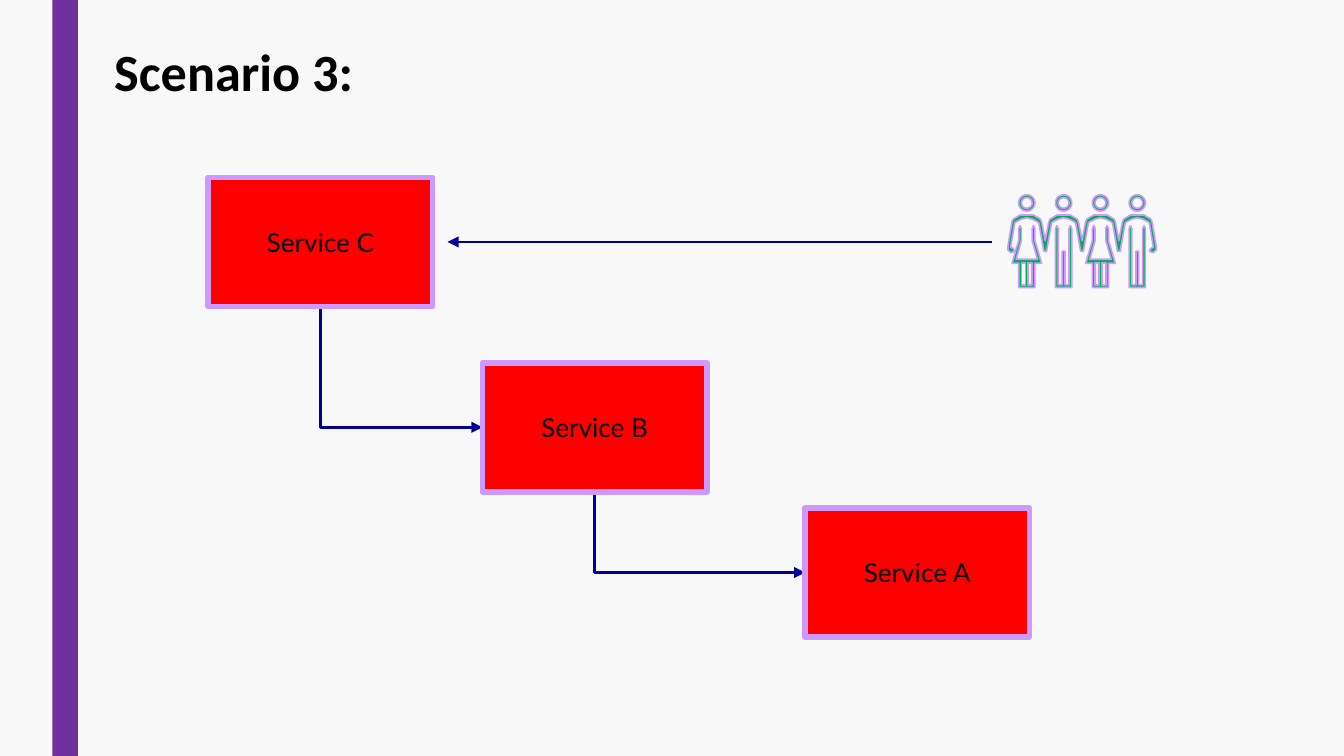
import math
from dataclasses import dataclass

import pptx
import pptx.dml.color
import pptx.enum.shapes
import pptx.enum.text
import pptx.oxml.ns
import pptx.util
from lxml import etree

Inches = pptx.util.Inches
Pt = pptx.util.Pt
RGBColor = pptx.dml.color.RGBColor
qn = pptx.oxml.ns.qn
CONNECTOR = pptx.enum.shapes.MSO_CONNECTOR
RECTANGLE = pptx.enum.shapes.MSO_SHAPE.RECTANGLE
ANCHOR = pptx.enum.text.MSO_ANCHOR
ALIGN = pptx.enum.text.PP_ALIGN

BACKGROUND = RGBColor(0xF8, 0xF8, 0xF8)
PURPLE = RGBColor(0x70, 0x30, 0xA0)
LILAC = RGBColor(0xCC, 0x99, 0xFF)
RED = RGBColor(0xFF, 0x00, 0x00)
GREEN = RGBColor(0x00, 0xB0, 0x50)
NAVY = RGBColor(0x00, 0x00, 0x99)
BLACK = RGBColor(0x00, 0x00, 0x00)

Point = tuple[float, float]
Contour = list[Point]


@dataclass
class Service:
    name: str
    left: float
    top: float
    width: float = 1.67
    height: float = 0.96

    def bottom_center(self) -> Point:
        return self.left + self.width / 2, self.top + self.height

    def left_middle(self) -> Point:
        return self.left, self.top + self.height / 2


SERVICES = [
    Service("Service C", 1.55, 1.32),
    Service("Service B", 3.59, 2.7),
    Service("Service A", 5.99, 3.78),
]

# Outlines of the people: x from the body's middle, y on the slide
PERSON_CENTERS = [7.64 + 0.274 * i for i in range(4)]
HEAD_Y = 1.51
DRESS_HALF = [(0.08, 1.93), (0.04, 1.79), (0.04, 1.7), (0.05, 1.68), (0.06, 1.7),
              (0.06, 1.79), (0.11, 1.96), (0.06, 1.96), (0.06, 2.14)]
LEG_HOLE = [(0.01, 1.96), (0.04, 1.96), (0.04, 2.12), (0.01, 2.12)]
TROUSERS_HALF = [(0.01, 1.87), (0.01, 2.12), (0.04, 2.12), (0.04, 1.7),
                 (0.05, 1.68), (0.06, 1.7), (0.06, 2.14)]
SHOULDER_TOP = [(-0.11, 1.65), (-0.1, 1.63), (-0.05, 1.6), (0, 1.6),
                (0.05, 1.6), (0.1, 1.63), (0.11, 1.65)]
SHOULDER_INNER = [(-0.09, 1.66), (-0.08, 1.65), (-0.04, 1.63), (0, 1.62),
                  (0.04, 1.63), (0.08, 1.65), (0.09, 1.66)]
HAND = [(0.14, 1.83), (0.14, 1.86), (0.12, 1.88), (0.09, 1.87),
        (0.1, 1.85), (0.12, 1.84)]


def shift(points: Contour, dx: float) -> Contour:
    return [(x + dx, y) for x, y in points]


def mirror(points: Contour) -> Contour:
    return [(-x, y) for x, y in reversed(points)]


def circle(center_x: float, radius: float, steps: int = 32) -> Contour:
    angles = [2 * math.pi * i / steps for i in range(steps)]
    return [(center_x + radius * math.cos(a), HEAD_Y + radius * math.sin(a))
            for a in angles]


def arms_outline() -> Contour:
    """Joined arms: over the shoulders, round the last hand, and back beneath."""
    upper, lower = [], []
    for i, center in enumerate(PERSON_CENTERS):
        if i:
            between = center - 0.137
            upper.append((between, 1.79))
            lower += [(between - 0.01, 1.87), (between + 0.01, 1.87)]
        upper += shift(SHOULDER_TOP, center)
        lower += shift(SHOULDER_INNER, center)
    last_hand = shift(HAND, PERSON_CENTERS[-1])
    first_hand = shift(mirror(HAND), PERSON_CENTERS[0])
    return upper + last_hand + lower[::-1] + first_hand


def draw_outline(shapes, contours: list[Contour]) -> None:
    scaled = [[(Inches(x), Inches(y)) for x, y in contour] for contour in contours]
    builder = shapes.build_freeform(*scaled[0][0], scale=1.0)
    for i, contour in enumerate(scaled):
        if i:
            builder.move_to(*contour[0])
        builder.add_line_segments(contour[1:], close=True)
    style(builder.convert_to_shape(), GREEN, LILAC, 0.89)


def draw_people(slide) -> None:
    people = slide.shapes.add_group_shape().shapes
    for i, center in enumerate(PERSON_CENTERS):
        if i % 2:
            body = [TROUSERS_HALF + mirror(TROUSERS_HALF)]
        else:
            body = [DRESS_HALF + mirror(DRESS_HALF), LEG_HOLE, mirror(LEG_HOLE)]
        draw_outline(people, [shift(contour, center) for contour in body])
        draw_outline(people, [circle(center, 0.06), circle(center, 0.04)])
    draw_outline(people, [arms_outline()])


def style(shape, fill: RGBColor, line: RGBColor | None, width: float = 0) -> None:
    shape.shadow.inherit = False
    shape.fill.solid()
    shape.fill.fore_color.rgb = fill
    if line is None:
        shape.line.fill.background()
    else:
        shape.line.color.rgb = line
        shape.line.width = Pt(width)


def draw_service(slide, service: Service) -> None:
    box = slide.shapes.add_shape(RECTANGLE, Inches(service.left), Inches(service.top),
                                 Inches(service.width), Inches(service.height))
    style(box, RED, LILAC, 3)
    box.text_frame.vertical_anchor = ANCHOR.MIDDLE
    label = box.text_frame.paragraphs[0]
    label.text = service.name
    label.alignment = ALIGN.CENTER
    label.font.name = "Lato"
    label.font.size = Pt(14)
    label.font.color.rgb = BLACK


def draw_arrow(slide, kind, start: Point, end: Point):
    arrow = slide.shapes.add_connector(kind, *map(Inches, start + end))
    arrow.line.color.rgb = NAVY
    arrow.line.width = Pt(1.5)
    outline = arrow._element.spPr.find(qn("a:ln"))
    etree.SubElement(outline, qn("a:tailEnd"), type="triangle")
    etree.SubElement(arrow._element.spPr, qn("a:effectLst"))
    return arrow


def draw_down_then_right(slide, start: Point, end: Point) -> None:
    """One-bend arrow: the frame is a quarter turn of the area it spans."""
    mid_x, mid_y = (start[0] + end[0]) / 2, (start[1] + end[1]) / 2
    half_w, half_h = (end[0] - start[0]) / 2, (end[1] - start[1]) / 2
    arrow = draw_arrow(slide, CONNECTOR.ELBOW, (mid_x + half_h, mid_y - half_w),
                       (mid_x - half_h, mid_y + half_w))
    properties = arrow._element.spPr
    properties.find(qn("a:xfrm")).set("rot", str(270 * 60000))
    properties.find(qn("a:prstGeom")).set("prst", "bentConnector2")


def draw_title(slide) -> None:
    title = slide.shapes.title
    title.left, title.top = Inches(0.75), Inches(0.24)
    title.width, title.height = Inches(2.71), Inches(0.57)
    frame = title.text_frame
    frame.vertical_anchor = ANCHOR.TOP
    frame.auto_size = pptx.enum.text.MSO_AUTO_SIZE.NONE
    heading = frame.paragraphs[0]
    heading.text = "Scenario 3:"
    heading.alignment = ALIGN.LEFT
    heading.font.name = "Calibri"
    heading.font.size = Pt(28)
    heading.font.bold = True
    heading.font.color.rgb = BLACK


def main() -> None:
    # Widescreen slide, 16:9
    deck = pptx.Presentation()
    deck.slide_width = Inches(10)
    deck.slide_height = deck.slide_width * 9 // 16
    slide = deck.slides.add_slide(deck.slide_layouts[5])
    slide.background.fill.solid()
    slide.background.fill.fore_color.rgb = BACKGROUND

    # Side bar and title
    bar = slide.shapes.add_shape(RECTANGLE, Inches(0.39), 0, Inches(0.19), deck.slide_height)
    style(bar, PURPLE, None)
    draw_title(slide)

    # Users calling the first service
    draw_people(slide)
    draw_arrow(slide, CONNECTOR.STRAIGHT, (7.38, 1.8), (3.33, 1.8))

    # Chain of services, each calling the next
    for caller, called in zip(SERVICES, SERVICES[1:]):
        draw_down_then_right(slide, caller.bottom_center(), called.left_middle())
    for service in SERVICES:
        draw_service(slide, service)

    deck.save("out.pptx")


if __name__ == "__main__":
    main()
